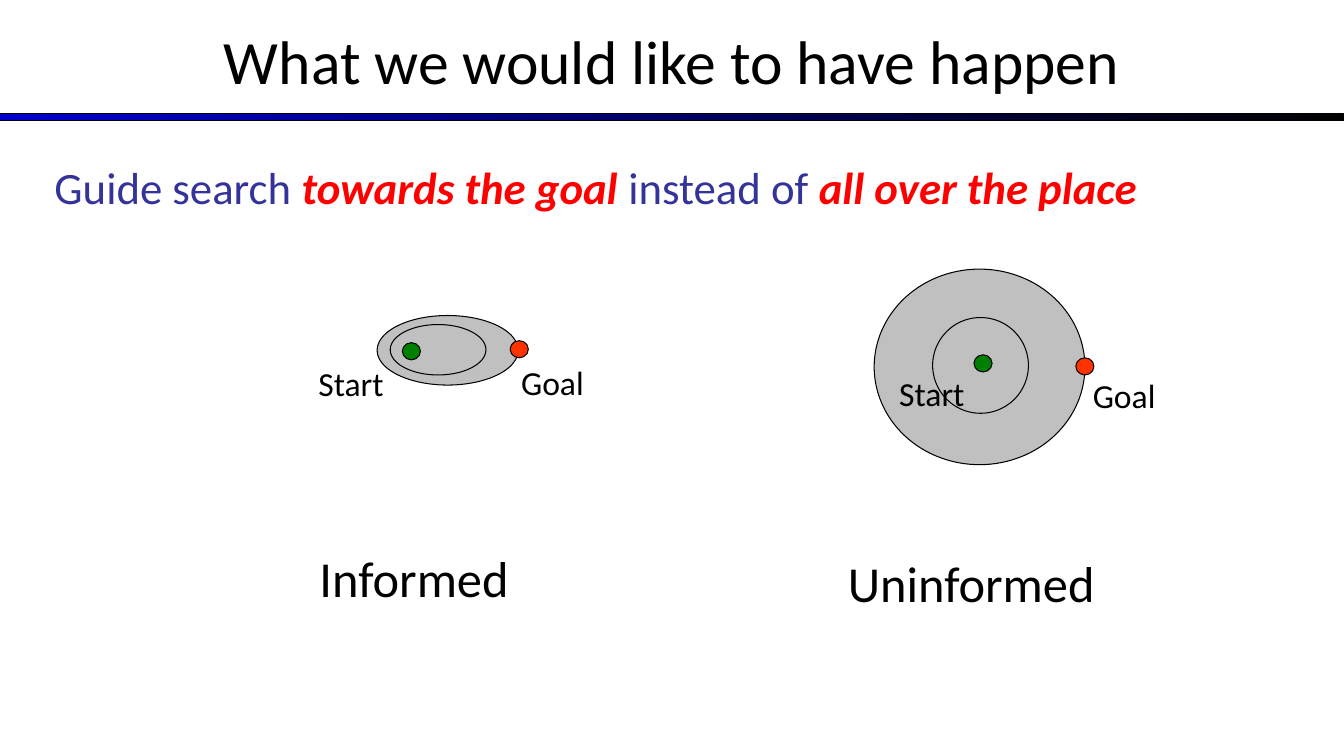
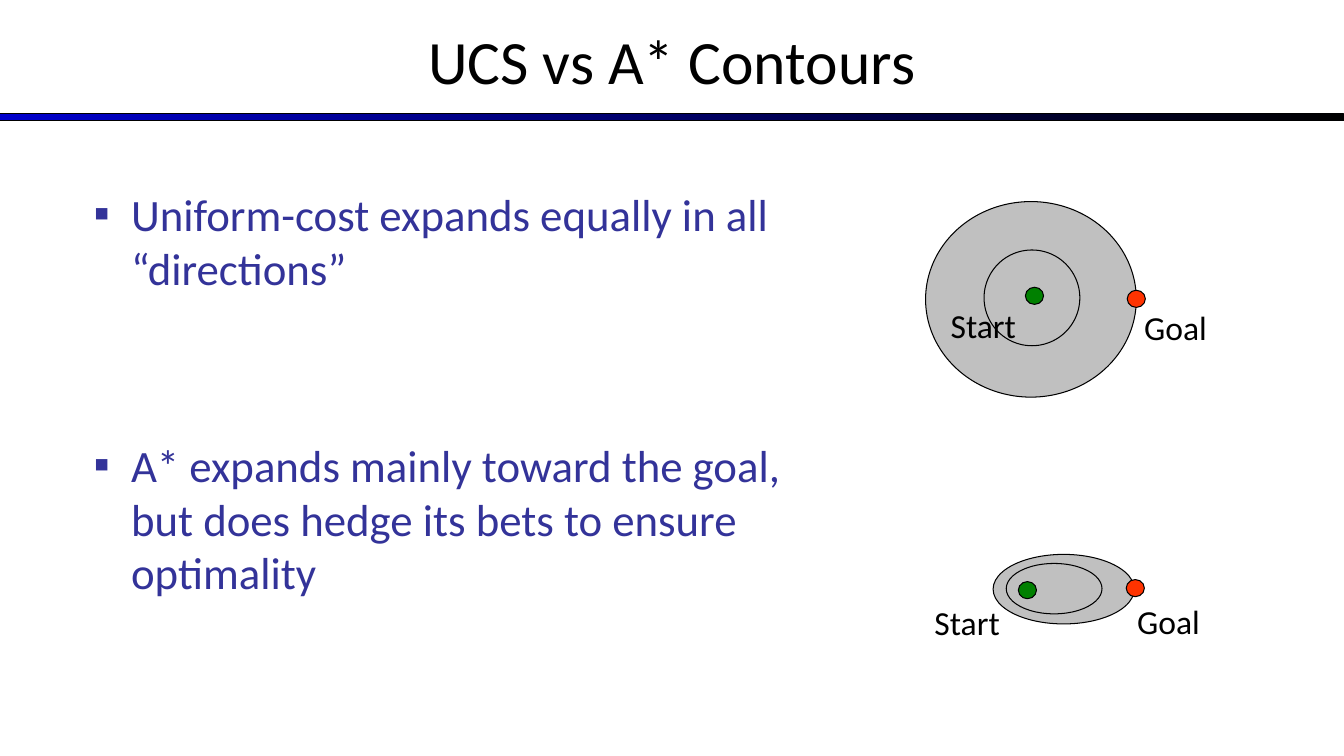
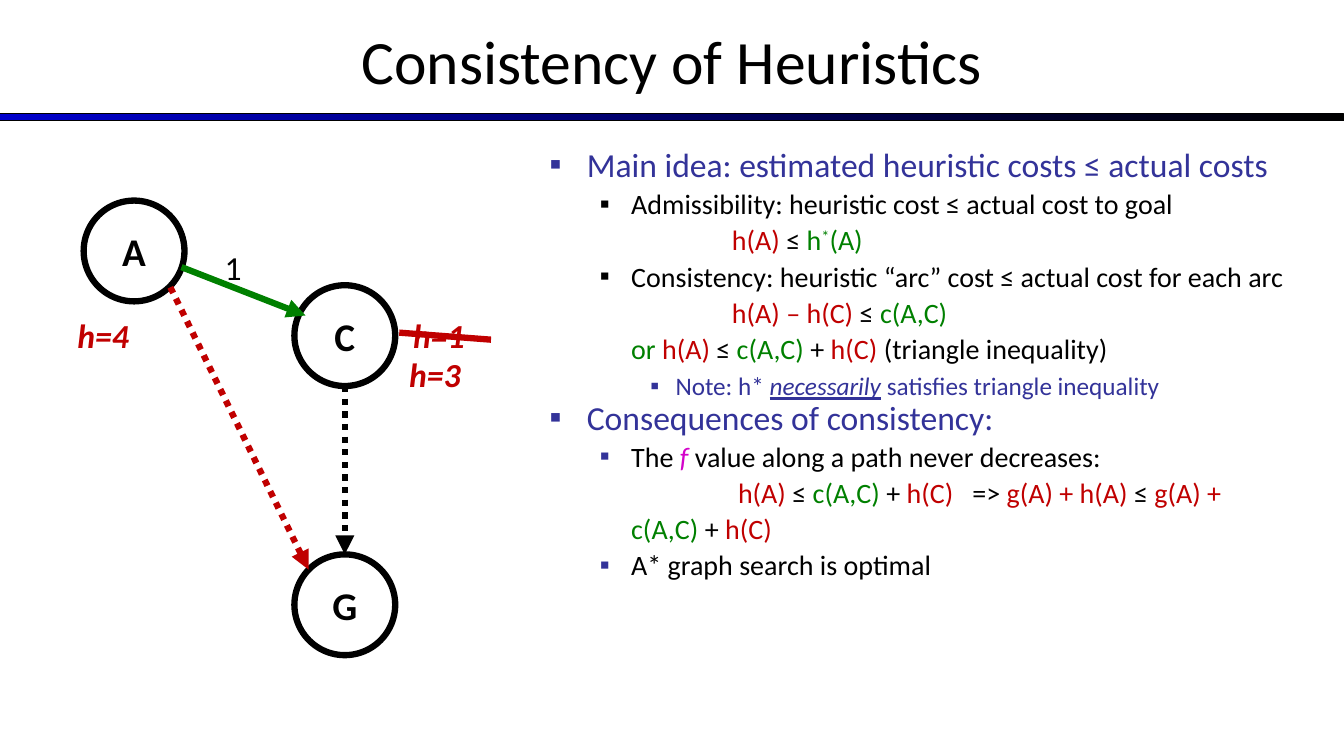
from dataclasses import dataclass
from typing import Any

import pptx
import pptx.dml.color
import pptx.enum.dml
import pptx.enum.shapes
import pptx.enum.text
import pptx.oxml
import pptx.oxml.ns
import pptx.util

Inches = pptx.util.Inches
Pt = pptx.util.Pt
Shape = pptx.enum.shapes.MSO_SHAPE
Align = pptx.enum.text.PP_ALIGN


@dataclass(frozen=True)
class Theme:
    font: str = "Calibri"
    black: str = "000000"
    white: str = "FFFFFF"
    blue: str = "333399"
    band: str = "0000CC"
    bright_red: str = "FF0000"
    red: str = "C00000"
    green: str = "008000"
    magenta: str = "D303CA"
    goal: str = "FF3300"
    gray: str = "C0C0C0"
    title: float = 44
    caption: float = 36
    body: float = 32
    node: float = 28
    label: float = 24
    detail: float = 20
    note: float = 18
    thin: float = 0.75
    thick: float = 4.5


THEME = Theme()


@dataclass(frozen=True)
class Span:
    text: str
    color: str = THEME.black
    bold: bool = False
    italic: bool = False
    underline: bool = False
    baseline: int = 0
    spread: int = 0


@dataclass(frozen=True)
class Item:
    spans: list[Span]
    size: float = THEME.body
    level: int = 0
    bullet: str = ""
    first_indent: float = 0
    margin: float | None = None
    before: float = 0


@dataclass(frozen=True)
class Area:
    left: float
    top: float
    width: float
    height: float

    def lengths(self) -> list[int]:
        return [Inches(v) for v in (self.left, self.top, self.width, self.height)]

    def shifted(self, left: float, top: float) -> "Area":
        return Area(self.left + left, self.top + top, self.width, self.height)


@dataclass(frozen=True)
class Contour:
    outer: Area
    ring: Area
    start: tuple[float, float]
    start_label: tuple[float, float]
    goal: tuple[float, float]
    goal_label: tuple[float, float]


@dataclass(frozen=True)
class Arrow:
    begin: tuple[float, float]
    end: tuple[float, float]
    color: str
    dotted: bool = False
    head: bool = True


UNIFORM = Contour(Area(0, 0, 2.09, 1.94), Area(0.58, 0.48, 0.95, 0.95),
                  (0.99, 0.85), (0.15, 0.98), (2, 0.88), (2.07, 1))
FOCUSED = Contour(Area(0, 0, 1.4, 0.69), Area(0.13, 0.09, 0.95, 0.5),
                  (0.25, 0.27), (-0.68, 0.42), (1.32, 0.25), (1.33, 0.41))
LEVELS = [(0.37, -0.37), (0.81, -0.31), (1.25, -0.25)]


def rgb(color: str) -> pptx.dml.color.RGBColor:
    return pptx.dml.color.RGBColor.from_string(color)


def add_child(parent: Any, tag: str, **attributes: str) -> Any:
    child = pptx.oxml.parse_xml(f"<a:{tag} {pptx.oxml.ns.nsdecls('a')}/>")
    for name, value in attributes.items():
        child.set(name, value)
    parent.append(child)
    return child


def format_run(run: Any, size: float, span: Span) -> None:
    run.font.name = THEME.font
    run.font.size = Pt(size)
    run.font.color.rgb = rgb(span.color)
    run.font.bold = span.bold
    run.font.italic = span.italic
    run.font.underline = span.underline
    properties = run.font._element
    if span.baseline:
        properties.set("baseline", str(span.baseline))
    if span.spread:
        properties.set("spc", str(span.spread))


def set_text(frame: Any, size: float, span: Span) -> None:
    frame.text = span.text
    format_run(frame.paragraphs[0].runs[0], size, span)


def add_label(shapes: Any, area: Area, size: float, span: Span) -> None:
    box = shapes.add_textbox(*area.lengths())
    box.text_frame.word_wrap = True
    set_text(box.text_frame, size, span)


def add_figure(shapes: Any, kind: Any, area: Area, fill: str = "",
               weight: float = THEME.thin) -> Any:
    figure = shapes.add_shape(kind, *area.lengths())
    figure.shadow.inherit = False
    if fill:
        figure.fill.solid()
        figure.fill.fore_color.rgb = rgb(fill)
    else:
        figure.fill.background()
    figure.line.color.rgb = rgb(THEME.black)
    figure.line.width = Pt(weight)
    return figure


def add_contour(page: Any, contour: Contour, left: float, top: float) -> None:
    shapes = page.shapes.add_group_shape().shapes
    add_figure(shapes, Shape.OVAL, contour.outer.shifted(left, top), THEME.gray)
    for name, dot, label, color in (
        ("Start", contour.start, contour.start_label, THEME.green),
        ("Goal", contour.goal, contour.goal_label, THEME.goal),
    ):
        add_figure(shapes, Shape.OVAL, Area(*dot, 0.18, 0.17).shifted(left, top), color)
        add_label(shapes, Area(*label, 1, 0.5).shifted(left, top), THEME.label, Span(name))
    add_figure(shapes, Shape.OVAL, contour.ring.shifted(left, top))


def add_node(page: Any, name: str, left: float, top: float) -> None:
    node = add_figure(page.shapes, Shape.OVAL, Area(left, top, 1, 1), THEME.white, THEME.thick)
    node.text_frame.vertical_anchor = pptx.enum.text.MSO_ANCHOR.MIDDLE
    set_text(node.text_frame, THEME.node, Span(name, bold=True))
    node.text_frame.paragraphs[0].alignment = Align.CENTER


def add_arrow(page: Any, arrow: Arrow) -> None:
    points = [Inches(v) for v in (*arrow.begin, *arrow.end)]
    line = page.shapes.add_connector(pptx.enum.shapes.MSO_CONNECTOR.STRAIGHT, *points)
    line.line.color.rgb = rgb(arrow.color)
    line.line.width = Pt(THEME.thick)
    if arrow.dotted:
        line.line.dash_style = pptx.enum.dml.MSO_LINE.ROUND_DOT
    if arrow.head:
        add_child(line.line._get_or_add_ln(), "tailEnd", type="triangle")
    add_child(line.element.spPr, "effectLst")


def fill_body(page: Any, area: Area, items: list[Item], spacing: Any = 1.0) -> None:
    body = page.placeholders[1]
    body.left, body.top, body.width, body.height = area.lengths()
    frame = body.text_frame
    frame.auto_size = pptx.enum.text.MSO_AUTO_SIZE.NONE
    for index, item in enumerate(items):
        para = frame.add_paragraph() if index else frame.paragraphs[0]
        para.level = item.level
        margin, hanging = LEVELS[item.level]
        properties = para._p.get_or_add_pPr()
        properties.set("marL", str(Inches(margin if item.margin is None else item.margin)))
        properties.set("indent", str(Inches(hanging if item.bullet else item.first_indent)))
        if item.bullet:
            add_child(add_child(properties, "buClr"), "srgbClr", val=item.bullet)
            add_child(properties, "buFont", typeface=THEME.font)
            add_child(properties, "buChar", char="▪")
        else:
            add_child(properties, "buNone")
        para.line_spacing = spacing
        para.space_before = Pt(item.before)
        para.space_after = Pt(0)
        for span in item.spans:
            if span.text == "\n":
                para.add_line_break()
                continue
            run = para.add_run()
            run.text = span.text
            format_run(run, item.size, span)


def prepare_layout(deck: Any) -> Any:
    layout = deck.slide_layouts[1]
    title = layout.placeholders[0]
    title.left, title.top, title.width, title.height = Area(0, -0.03, 13.33, 1.25).lengths()
    return layout


def add_page(deck: Any, layout: Any, title: str) -> Any:
    page = deck.slides.add_slide(layout)
    frame = page.shapes.title.text_frame
    frame.vertical_anchor = pptx.enum.text.MSO_ANCHOR.MIDDLE
    set_text(frame, THEME.title, Span(title))
    frame.paragraphs[0].alignment = Align.CENTER
    return page


def add_band(page: Any, layout: Any) -> None:
    band = add_figure(page.shapes, Shape.RECTANGLE, Area(0, 1.13, 13.33, 0.07))
    band.fill.gradient()
    band.fill.gradient_angle = 0
    for stop, color in zip(band.fill.gradient_stops, (THEME.band, THEME.black)):
        stop.color.rgb = rgb(color)
    layout.shapes.element.insert(2, band.element)


def build_overview(page: Any) -> None:
    fill_body(page, Area(0.44, 1.53, 12.44, 1.06), [Item([
        Span("Guide search ", THEME.blue),
        Span("towards the goal ", THEME.bright_red, bold=True, italic=True),
        Span("instead of ", THEME.blue),
        Span("all over the place", THEME.bright_red, bold=True, italic=True),
    ], margin=0)])
    add_contour(page, UNIFORM, 8.67, 2.67)
    add_contour(page, FOCUSED, 3.74, 3.13)
    add_label(page.shapes, Area(8.31, 5.43, 2.69, 0.71), THEME.caption, Span("Uninformed"))
    add_label(page.shapes, Area(3.07, 5.38, 2.11, 0.71), THEME.caption, Span("Informed"))


def build_contours(page: Any) -> None:
    fill_body(page, Area(0.83, 1.8, 7.33, 4.95), [
        Item([Span("Uniform-cost expands equally in all “directions”", THEME.blue)],
             bullet=THEME.blue),
        Item([Span("A* expands mainly toward the goal, but does hedge its bets to ensure "
                   "optimality", THEME.blue)], bullet=THEME.blue, before=102.5),
    ])
    add_contour(page, UNIFORM, 9.18, 2)
    add_contour(page, FOCUSED, 9.85, 5.5)


def heading(text: str) -> Item:
    return Item([Span(text, THEME.blue)], THEME.label, bullet=THEME.blue)


def detail(*spans: Span, bullet: str = "", first_indent: float = 0) -> Item:
    return Item(list(spans), THEME.detail, 1, bullet, first_indent)


def build_consistency(page: Any) -> None:
    at_most, plus = Span("≤ "), Span("+ ")
    h_a, h_c = Span("h(A) ", THEME.red), Span("h(C)", THEME.red)
    cost = Span("c(A,C) ", THEME.green)
    fill_body(page, Area(5.35, 1.42, 7.58, 3.65), [
        heading("Main idea: estimated heuristic costs ≤ actual costs"),
        detail(Span("Admissibility: heuristic cost ≤ actual cost to goal"), bullet=THEME.black),
        detail(h_a, at_most, Span("h", THEME.green), Span("*", THEME.green, baseline=30000),
               Span("(A)", THEME.green), first_indent=1),
        detail(Span("Consistency: heuristic “arc” cost ≤ actual cost for each arc"),
               bullet=THEME.black),
        detail(Span("h(A) – h(C) ", THEME.red), at_most, Span("c(A,C)", THEME.green),
               first_indent=1),
        detail(Span("or ", THEME.green), h_a, at_most, cost, plus, Span("h(C) ", THEME.red),
               Span("(triangle inequality)")),
        Item([Span("Note: h* ", THEME.blue),
              Span("necessarily", THEME.blue, italic=True, underline=True),
              Span(" satisfies triangle inequality", THEME.blue)],
             THEME.note, 2, THEME.blue),
        heading("Consequences of consistency:"),
        detail(Span("The "), Span("f", THEME.magenta, italic=True),
               Span(" value along a path never decreases:"), bullet=THEME.blue),
        detail(h_a, at_most, cost, plus, h_c, Span(" ", THEME.red, spread=900), Span("=> "),
               Span("g(A) + h(A) ", THEME.red), at_most, Span("g(A) +", THEME.red),
               Span("\n"), cost, plus, h_c, first_indent=1.06),
        detail(Span("A* graph search is optimal"), bullet=THEME.blue),
    ], Pt(25.8))

    add_arrow(page, Arrow((3.42, 3.83), (3.42, 5.5), THEME.black, dotted=True))
    for name, left, top in (("A", 0.83, 1.99), ("C", 2.92, 2.83), ("G", 2.92, 5.5)):
        add_node(page, name, left, top)
    for text, left, top in (("h=1", 4, 3.08), ("h=4", 0.67, 3.08), ("h=3", 3.96, 3.46)):
        add_label(page.shapes, Area(left, top, 0.8, 0.5), THEME.label,
                  Span(text, THEME.red, bold=True, italic=True))
    add_label(page.shapes, Area(2.13, 2.4, 0.4, 0.5), THEME.label, Span("1"))
    for arrow in (
        Arrow((1.69, 2.85), (3.06, 5.65), THEME.red, dotted=True),
        Arrow((1.8, 2.65), (3.03, 3.13), THEME.green),
        Arrow((3.96, 3.3), (4.87, 3.37), THEME.red, head=False),
    ):
        add_arrow(page, arrow)


def main() -> None:
    deck = pptx.Presentation()
    deck.slide_width, deck.slide_height = Inches(13.33), Inches(7.5)
    layout = prepare_layout(deck)
    for number, (title, build) in enumerate((
        ("What we would like to have happen", build_overview),
        ("UCS vs A* Contours", build_contours),
        ("Consistency of Heuristics", build_consistency),
    )):
        page = add_page(deck, layout, title)
        if number == 0:
            add_band(page, layout)
        build(page)
    deck.save("out.pptx")


if __name__ == "__main__":
    main()
